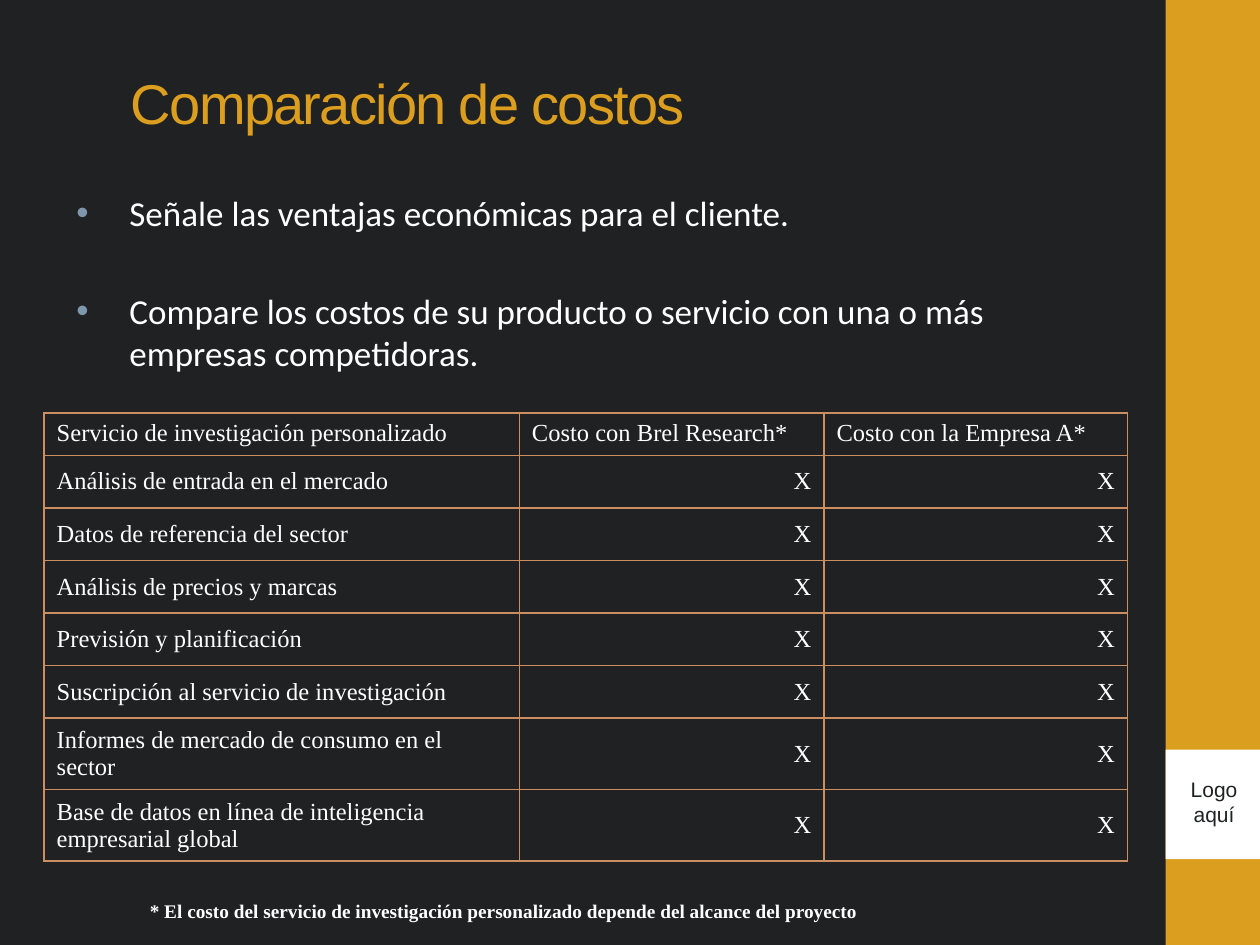
from lxml import etree
from pptx import Presentation
from pptx.dml.color import RGBColor
from pptx.enum.shapes import MSO_SHAPE
from pptx.enum.text import MSO_ANCHOR, PP_ALIGN
from pptx.oxml.ns import qn
from pptx.util import Cm, Pt

RECT = MSO_SHAPE.RECTANGLE
TOP, MIDDLE = MSO_ANCHOR.TOP, MSO_ANCHOR.MIDDLE
LEFT, CENTER, RIGHT = PP_ALIGN.LEFT, PP_ALIGN.CENTER, PP_ALIGN.RIGHT

DARK = RGBColor(0x1F, 0x21, 0x23)
GOLD = RGBColor(0xDC, 0x9E, 0x1F)
WHITE = RGBColor(0xFF, 0xFF, 0xFF)
BULLET = RGBColor(0x7E, 0x97, 0xAD)
BORDER = RGBColor(0xCC, 0x8E, 0x60)

HEADERS = ["Servicio de investigación personalizado",
           "Costo con Brel Research*", "Costo con la Empresa A*"]
SERVICES = ["Análisis de entrada en el mercado",
            "Datos de referencia del sector",
            "Análisis de precios y marcas",
            "Previsión y planificación",
            "Suscripción al servicio de investigación",
            "Informes de mercado de consumo en el sector",
            "Base de datos en línea de inteligencia empresarial global"]
COL_WIDTHS = [9.58, 6.14, 6.12]
ROW_HEIGHTS = [0.84] + [1.06] * 5 + [1.44] * 2


def write(p, text, font="Times New Roman", size=14, color=WHITE, bold=False,
          align=LEFT, before=0, spacing=None):
    p.alignment = align
    p.space_before = Pt(before)
    r = p.add_run()
    r.text = text
    r.font.name = font
    r.font.size = Pt(size)
    r.font.bold = bold
    r.font.color.rgb = color
    if spacing is not None:
        r.font._element.set("spc", str(int(spacing * 100)))


def add_text_box(s, x, y, w, h, anchor=TOP):
    tf = s.shapes.add_textbox(Cm(x), Cm(y), Cm(w), Cm(h)).text_frame
    tf.word_wrap = True
    tf.vertical_anchor = anchor
    return tf


def add_rect(s, x, y, w, h, color):
    sp = s.shapes.add_shape(RECT, Cm(x), Cm(y), Cm(w), Cm(h))
    sp.shadow.inherit = False
    sp.fill.solid()
    sp.fill.fore_color.rgb = color
    sp.line.fill.background()


def add_bullet(p):
    pPr = p._p.get_or_add_pPr()
    pPr.set("marL", str(Cm(1.17)))
    pPr.set("indent", str(Cm(-1.07)))
    clr = etree.SubElement(pPr, qn("a:buClr"))
    etree.SubElement(clr, qn("a:srgbClr"), val=str(BULLET))
    etree.SubElement(pPr, qn("a:buFont"), typeface="Arial")
    etree.SubElement(pPr, qn("a:buChar"), char="•")


def add_borders(cell):
    tcPr = cell._tc.get_or_add_tcPr()
    for side in ("lnL", "lnR", "lnT", "lnB"):
        ln = etree.SubElement(tcPr, qn(f"a:{side}"), w=str(Pt(1)))
        fill = etree.SubElement(ln, qn("a:solidFill"))
        etree.SubElement(fill, qn("a:srgbClr"), val=str(BORDER))


def add_side_band(s, x, y, w, h):
    add_rect(s, x, y, w, h, GOLD)
    add_rect(s, x, y + 15.11, w, 2.21, WHITE)
    tf = add_text_box(s, x + 0.15, y + 15.52, w - 0.25, 1.27)
    write(tf.paragraphs[0], "Logo aquí", font="Arial", size=12, color=DARK,
          align=CENTER)


def add_title(s, x, y, w, h):
    tf = add_text_box(s, x, y, w, h, anchor=MIDDLE)
    write(tf.paragraphs[0], "Comparación de costos", font="Arial", size=32,
          color=GOLD, spacing=-1)


def add_points(s, x, y, w, h):
    tf = add_text_box(s, x, y, w, h)
    points = [("Señale las ventajas económicas para el cliente.", 4),
              ("Compare los costos de su producto o servicio con una o más "
               "empresas competidoras.", 32)]
    for i, (text, before) in enumerate(points):
        p = tf.add_paragraph() if i else tf.paragraphs[0]
        write(p, text, font="Calibri", size=20, before=before)
        add_bullet(p)


def add_cost_table(s, x, y):
    rows = [HEADERS] + [[name, "X", "X"] for name in SERVICES]
    table = s.shapes.add_table(len(rows), len(HEADERS), Cm(x), Cm(y),
                               Cm(sum(COL_WIDTHS)), Cm(sum(ROW_HEIGHTS))).table
    table.first_row = False
    table.horz_banding = False
    for col, width in zip(table.columns, COL_WIDTHS):
        col.width = Cm(width)
    for i, (texts, height) in enumerate(zip(rows, ROW_HEIGHTS)):
        table.rows[i].height = Cm(height)
        for j, text in enumerate(texts):
            cell = table.cell(i, j)
            add_borders(cell)
            cell.fill.background()
            cell.vertical_anchor = MIDDLE if i else TOP
            write(cell.text_frame.paragraphs[0], text, before=2.8,
                  align=RIGHT if i and j else LEFT)


def add_footnote(s, x, y, w, h):
    tf = add_text_box(s, x, y, w, h)
    write(tf.paragraphs[0], "* El costo del servicio de investigación "
          "personalizado depende del alcance del proyecto",
          size=11, bold=True, before=5.5)


def main():
    prs = Presentation()
    prs.slide_width, prs.slide_height = Cm(25.4), Cm(19.05)
    s = prs.slides.add_slide(prs.slide_layouts[6])
    s.background.fill.solid()
    s.background.fill.fore_color.rgb = DARK
    add_side_band(s, 23.5, 0, 1.9, 19.05)
    add_title(s, 2.39, 0.58, 18.85, 2.97)
    add_points(s, 1.19, 3.73, 21.51, 3.61)
    add_cost_table(s, 0.89, 8.33)
    add_footnote(s, 2.77, 18.01, 18.85, 0.74)
    prs.save("out.pptx")


main()
